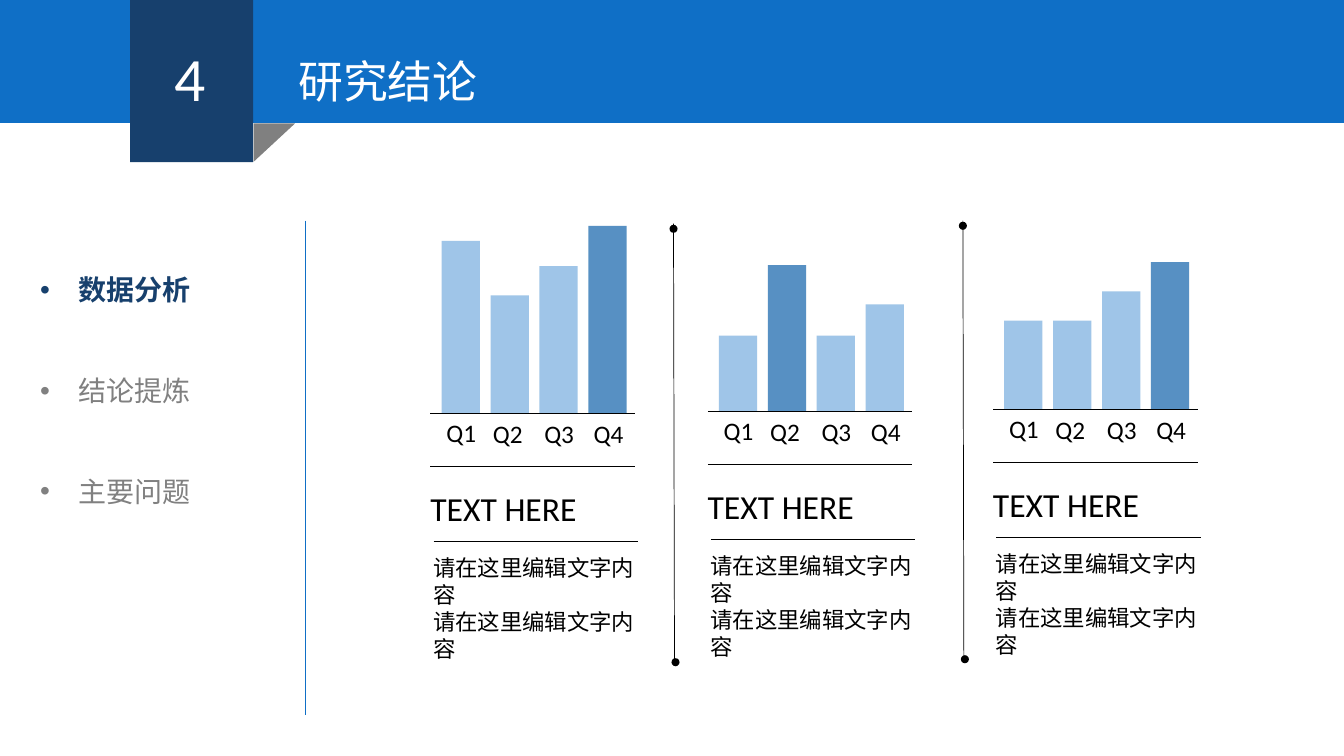
import pptx
import pptx.dml.color
import pptx.enum.shapes
import pptx.enum.text
import pptx.oxml
import pptx.oxml.ns
import pptx.util
import lxml.etree

Inches = pptx.util.Inches
Shapes = pptx.enum.shapes.MSO_SHAPE

BLUE, NAVY, STEEL = "0F6FC6", "17406D", "2E75B5"
GRAY, BLACK, WHITE = "808080", "000000", "FFFFFF"

presentation = pptx.Presentation()
presentation.slide_width = Inches(13.33)
presentation.slide_height = Inches(7.5)
slide = presentation.slides.add_slide(presentation.slide_layouts[6])


def paint(color_format, color, alpha=100):
    color_format.rgb = pptx.dml.color.RGBColor.from_string(color)
    if alpha < 100:
        element = color_format._xFill.find(pptx.oxml.ns.qn("a:srgbClr"))
        lxml.etree.SubElement(element, pptx.oxml.ns.qn("a:alpha"), val=str(alpha * 1000))


def add_item(kind, place, color, **format):
    lengths = [Inches(value) for value in place]
    if kind == "line":
        line = slide.shapes.add_connector(pptx.enum.shapes.MSO_CONNECTOR.STRAIGHT, *lengths)
        paint(line.line.fill.fore_color if line.line.fill.solid() else line.line.color, color)
        line.line.width = pptx.util.Pt(0.5)
        lxml.etree.SubElement(line._element.spPr, pptx.oxml.ns.qn("a:effectLst"))
        return line
    if kind == "text":
        shape = slide.shapes.add_textbox(*lengths)
        frame = shape.text_frame
        frame.word_wrap = format.pop("wrap", True)
        frame.auto_size = pptx.enum.text.MSO_AUTO_SIZE.SHAPE_TO_FIT_TEXT
        frame.text = format.pop("text")
        for paragraph in frame.paragraphs:
            paint(paragraph.runs[0].font.color, color)
            for name, value in ({"name": "Calibri"} | format).items():
                setattr(paragraph.runs[0].font, name, value)
        return shape
    shape = slide.shapes.add_shape(kind, *lengths)
    shape.shadow.inherit = False
    shape.fill.solid()
    paint(shape.fill.fore_color, color, format.get("alpha", 100))
    shape.line.fill.background()
    return shape


add_item("line", (3.03, 2.19, 3.03, 7.09), BLUE)

menu = add_item("text", (0.3, 1.99, 3.21, 3.13), GRAY,
                text="数据分析\n结论提炼\n主要问题", size=pptx.util.Pt(20), bold=False)
for paragraph in menu.text_frame.paragraphs:
    paragraph.line_spacing = 3.0
    properties = paragraph._p.get_or_add_pPr()
    properties.set("marL", str(Inches(0.38)))
    properties.set("indent", str(-Inches(0.38)))
    lxml.etree.SubElement(properties, pptx.oxml.ns.qn("a:buFont"), typeface="Arial")
    lxml.etree.SubElement(properties, pptx.oxml.ns.qn("a:buChar"), char="•")
current = menu.text_frame.paragraphs[0].runs[0].font
current.bold = True
paint(current.color, NAVY)

add_item(Shapes.RECTANGLE, (0, 0, 13.33, 1.22), BLUE)
add_item(Shapes.RECTANGLE, (1.29, 0, 1.22, 1.61), NAVY)
fold = add_item(Shapes.RIGHT_TRIANGLE, (2.53, 1.21, 0.38, 0.41), GRAY)
fold.rotation = 90
add_item("text", (1.63, 0.35, 0.54, 0.84), WHITE, text="4", size=pptx.util.Pt(44))
add_item("text", (2.86, 0.48, 3.91, 0.64), WHITE, text="研究结论", size=pptx.util.Pt(32))

panels = [
    (4.27, 4.1, (1.71, 1.17, 1.46, 1.86)),
    (7.02, 4.08, (0.75, 1.45, 0.75, 1.06)),
    (9.85, 4.06, (0.88, 0.88, 1.17, 1.46)),
]
label_places = [(0.06, -0.01), (0.52, 0), (1.03, 0), (1.52, 0)]

for left, base, heights in panels:
    for index, height in enumerate(heights):
        color, alpha = (STEEL, 80) if height == max(heights) else (BLUE, 40)
        bar_left = left + 0.11 + 0.485 * index
        add_item(Shapes.RECTANGLE, (bar_left, base - height, 0.38, height), color, alpha=alpha)
    for shift, drop in [(0, 0), (0, 0.53), (0.03, 1.27)]:
        start, level = left + shift, base + drop
        add_item("line", (start, level, start + 2.03, level), BLACK)
    for quarter, (shift, drop) in enumerate(label_places, 1):
        add_item("text", (left + shift, base + drop, 0.63, 0.4), BLACK,
                 text=f"Q{quarter}", size=pptx.util.Pt(18))
    add_item("text", (left - 0.07, base + 1.35, 2.3, 1.18), BLACK,
             text="\n".join(["请在这里编辑文字内容"] * 2), size=pptx.util.Pt(16))
    add_item("text", (left - 0.1, base + 0.69, 1.67, 0.51), BLACK,
             text="TEXT HERE", size=pptx.util.Pt(24), wrap=False)

for left, top in [(6.68, 2.22), (9.55, 2.19)]:
    add_item("line", (left, top, left + 0.01, top + 4.36), BLACK)
    for shift, drop in [(-0.04, 0.01), (-0.02, 4.31)]:
        add_item(Shapes.OVAL, (left + shift, top + drop, 0.08, 0.08), BLACK)

presentation.save("out.pptx")
